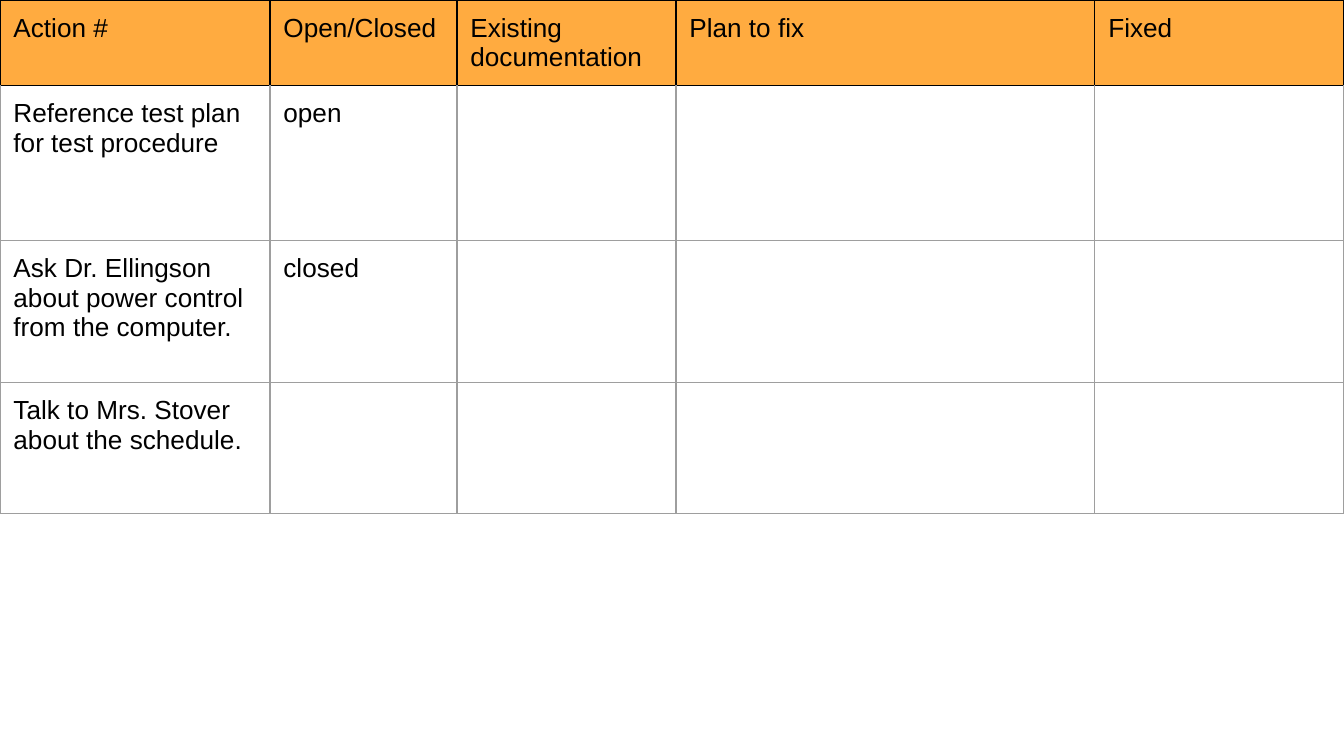
from lxml import etree
from pptx import Presentation
from pptx import util as u
from pptx.dml.color import RGBColor
from pptx.oxml.ns import qn

EMU_PER_INCH = 914400
PX_PER_INCH = 134.4
BLACK, GREY, ORANGE = "000000", "9E9E9E", "FFAB40"
COLUMN_WIDTHS = [270, 187, 219, 419, 249]
ROW_HEIGHTS = [85, 155, 142, 131]
ACTIONS = [
    ["Action #", "Open/Closed", "Existing documentation", "Plan to fix", "Fixed"],
    ["Reference test plan for test procedure", "open", "", "", ""],
    ["Ask Dr. Ellingson about power control from the computer.", "closed", "", "", ""],
    ["Talk to Mrs. Stover about the schedule.", "", "", "", ""],
]


def px(length):
    return u.Emu(round(length * EMU_PER_INCH / PX_PER_INCH))


def color(value):
    return RGBColor.from_string(value)


def add_border(cell, side, value):
    properties = cell._tc.get_or_add_tcPr()
    line = etree.SubElement(properties, qn(f"a:ln{side}"), w=str(u.Pt(0.75)))
    fill = etree.SubElement(line, qn("a:solidFill"))
    etree.SubElement(fill, qn("a:srgbClr"), val=value)


def format_cell(cell, words, row_index):
    is_header = row_index == 0
    edge = BLACK if is_header else GREY
    top_edge = BLACK if row_index <= 1 else GREY
    for side, value in zip("LRTB", [edge, edge, top_edge, edge]):
        add_border(cell, side, value)
    if is_header:
        cell.fill.solid()
        cell.fill.fore_color.rgb = color(ORANGE)
    else:
        cell.fill.background()
    cell.margin_left = cell.margin_right = u.Inches(0.1)
    cell.margin_top = cell.margin_bottom = u.Inches(0.1)
    cell.text = words
    font = cell.text_frame.paragraphs[0].font
    font.name = "Arial"
    font.size = u.Pt(14)
    font.color.rgb = color(BLACK)


def add_action_table(page):
    frame = page.shapes.add_table(
        len(ROW_HEIGHTS), len(COLUMN_WIDTHS), 0, 0,
        px(sum(COLUMN_WIDTHS)), px(sum(ROW_HEIGHTS)),
    )
    table = frame.table
    table.first_row = table.horz_banding = False
    for column, width in zip(table.columns, COLUMN_WIDTHS):
        column.width = px(width)
    for row_index, (row, height) in enumerate(zip(table.rows, ROW_HEIGHTS)):
        row.height = px(height)
        for cell, words in zip(row.cells, ACTIONS[row_index]):
            format_cell(cell, words, row_index)


def main():
    deck = Presentation()
    deck.slide_width, deck.slide_height = px(1344), px(756)
    page = deck.slides.add_slide(deck.slide_layouts[6])
    add_action_table(page)
    deck.save("out.pptx")


if __name__ == "__main__":
    main()
